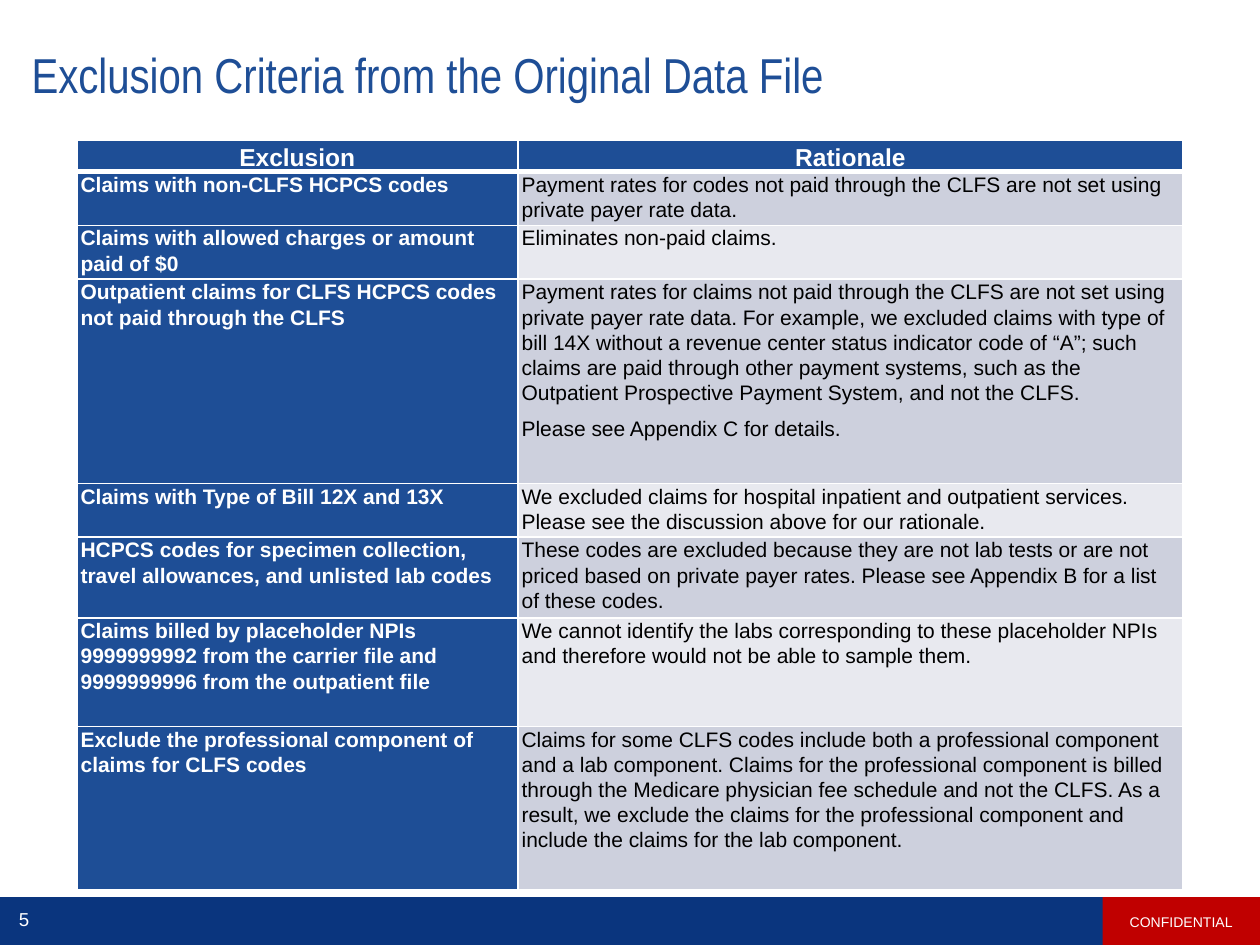
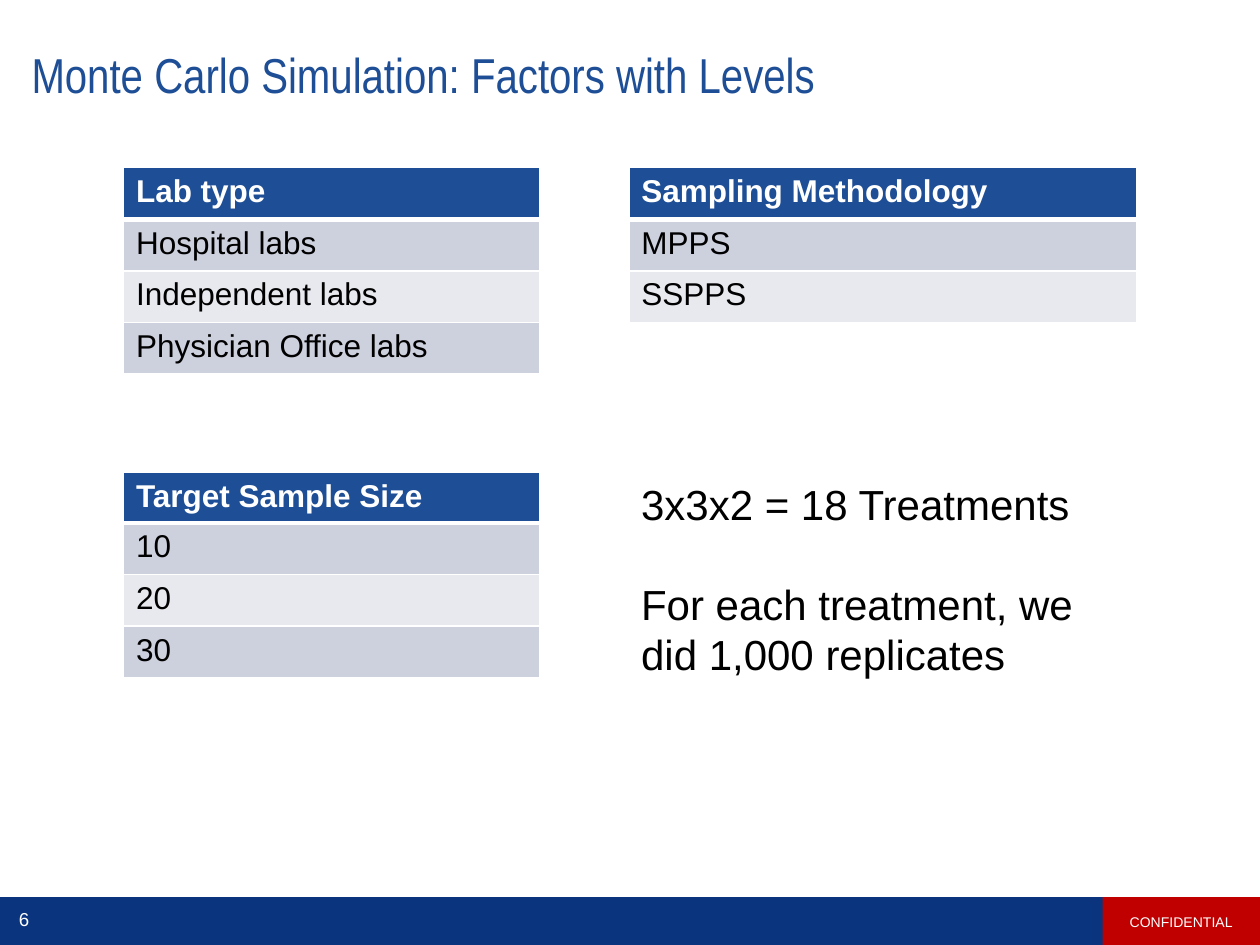
from dataclasses import dataclass

import lxml.etree
import pptx
import pptx.dml.color
import pptx.enum.shapes
import pptx.enum.text
import pptx.oxml.ns
import pptx.util

Inches = pptx.util.Inches
Pt = pptx.util.Pt
Align = pptx.enum.text.PP_ALIGN
Anchor = pptx.enum.text.MSO_ANCHOR


@dataclass(frozen=True)
class Theme:
    font: str = "Arial"
    title_font: str = "Arial Narrow"
    blue: str = "1E4E96"
    navy: str = "0A357E"
    red: str = "C00000"
    white: str = "FFFFFF"
    black: str = "000000"
    bands: tuple = ("CDD0DD", "E8E9EF")
    title_size: float = 28
    summary_size: float = 24
    factor_size: float = 18
    header_size: float = 14
    rationale_size: float = 12
    number_size: float = 10.7
    label_size: float = 8


THEME = Theme()

EXCLUSIONS = [
    ("Exclusion", "Rationale"),
    ("Claims with non-CLFS HCPCS codes",
     "Payment rates for codes not paid through the CLFS are not set using private payer rate data."),
    ("Claims with allowed charges or amount paid of $0",
     "Eliminates non-paid claims."),
    ("Outpatient claims for CLFS HCPCS codes not paid through the CLFS",
     "Payment rates for claims not paid through the CLFS are not set using private payer rate data. "
     "For example, we excluded claims with type of bill 14X without a revenue center status indicator "
     "code of “A”; such claims are paid through other payment systems, such as the Outpatient "
     "Prospective Payment System, and not the CLFS.\nPlease see Appendix C for details."),
    ("Claims with Type of Bill 12X and 13X",
     "We excluded claims for hospital inpatient and outpatient services. "
     "Please see the discussion above for our rationale."),
    ("HCPCS codes for specimen collection, travel allowances, and unlisted lab codes",
     "These codes are excluded because they are not lab tests or are not priced based on private "
     "payer rates. Please see Appendix B for a list of these codes."),
    ("Claims billed by placeholder NPIs 9999999992 from the carrier file and 9999999996 from the "
     "outpatient file",
     "We cannot identify the labs corresponding to these placeholder NPIs and therefore would not "
     "be able to sample them."),
    ("Exclude the professional component of claims for CLFS codes",
     "Claims for some CLFS codes include both a professional component and a lab component. Claims "
     "for the professional component is billed through the Medicare physician fee schedule and not "
     "the CLFS. As a result, we exclude the claims for the professional component and include the "
     "claims for the lab component."),
]
EXCLUSION_HEIGHTS = [0.24, 0.42, 0.42, 1.62, 0.42, 0.64, 0.86, 1.3]


def color(value):
    return pptx.dml.color.RGBColor.from_string(value)


def write_text(frame, text, *, size, ink=THEME.black, font=THEME.font, bold=False,
               align=Align.LEFT, line=None, before=None, after=None):
    for index, words in enumerate(text.split("\n")):
        para = frame.paragraphs[0] if index == 0 else frame.add_paragraph()
        para.alignment = align
        para.line_spacing = line
        para.space_before = None if before is None else Pt(before)
        para.space_after = None if after is None else Pt(after)
        span = para.add_run()
        span.text = words
        span.font.name = font
        span.font.size = Pt(size)
        span.font.bold = bold
        span.font.color.rgb = color(ink)


def set_insets(target, left, top, right, bottom):
    target.margin_left, target.margin_top = Inches(left), Inches(top)
    target.margin_right, target.margin_bottom = Inches(right), Inches(bottom)


def add_bar(page, left, top, width, height, fill):
    bar = page.shapes.add_shape(pptx.enum.shapes.MSO_SHAPE.RECTANGLE, Inches(left), Inches(top),
                                Inches(width), Inches(height))
    bar.shadow.inherit = False
    bar.fill.solid()
    bar.fill.fore_color.rgb = color(fill)
    bar.line.fill.background()
    return bar


def add_text_box(page, left, top, width, height, text, anchor=Anchor.TOP, **text_format):
    box = page.shapes.add_textbox(Inches(left), Inches(top), Inches(width), Inches(height))
    box.text_frame.word_wrap = True
    box.text_frame.vertical_anchor = anchor
    write_text(box.text_frame, text, **text_format)
    return box


def add_title(page, text):
    title = page.shapes.title
    title.left, title.top = Inches(0.15), Inches(0.2)
    title.width, title.height = Inches(9.67), Inches(0.83)
    frame = title.text_frame
    frame.auto_size = pptx.enum.text.MSO_AUTO_SIZE.NONE
    frame.vertical_anchor = Anchor.MIDDLE
    set_insets(frame, 0.1, 0.1, 0.2, 0.1)
    write_text(frame, text, size=THEME.title_size, ink=THEME.blue, font=THEME.title_font, line=0.9)


def add_footer(page, number):
    add_bar(page, 0, 7.12, 10, 0.39, THEME.navy)
    label = add_bar(page, 8.75, 7.12, 1.25, 0.39, THEME.red)
    label.text_frame.vertical_anchor = Anchor.MIDDLE
    write_text(label.text_frame, "CONFIDENTIAL", size=THEME.label_size, ink=THEME.white,
               align=Align.CENTER)
    add_text_box(page, 0, 7.13, 0.38, 0.32, str(number), anchor=Anchor.MIDDLE,
                 size=THEME.number_size, ink=THEME.white, align=Align.CENTER)


def add_page(deck, title, number):
    page = deck.slides.add_slide(deck.slide_layouts[5])
    add_title(page, title)
    add_footer(page, number)
    return page


def set_borders(cell, top, bottom):
    name = pptx.oxml.ns.qn
    properties = cell._tc.get_or_add_tcPr()
    for index, (side, width) in enumerate([("L", 1), ("R", 1), ("T", top), ("B", bottom)]):
        edge = lxml.etree.Element(name(f"a:ln{side}"), w=str(Pt(width)))
        fill = lxml.etree.SubElement(edge, name("a:solidFill"))
        lxml.etree.SubElement(fill, name("a:srgbClr"), val=THEME.white)
        properties.insert(index, edge)


def add_grid(page, left, top, widths, heights, rows, *, size, header_size, label_column=False,
             header_align=Align.LEFT, header_anchor=Anchor.TOP, insets=None, **spacing):
    table = page.shapes.add_table(len(rows), len(widths), Inches(left), Inches(top),
                                  Inches(sum(widths)), Inches(sum(heights))).table
    for column, width in zip(table.columns, widths):
        column.width = Inches(width)
    for row_index, (row, height) in enumerate(zip(rows, heights)):
        table.rows[row_index].height = Inches(height)
        is_header = row_index == 0
        for column_index, text in enumerate(row):
            cell = table.cell(row_index, column_index)
            strong = is_header or (label_column and column_index == 0)
            cell.fill.solid()
            cell.fill.fore_color.rgb = color(
                THEME.blue if strong else THEME.bands[(row_index - 1) % 2])
            set_borders(cell, top=3 if row_index == 1 else 1, bottom=3 if is_header else 1)
            cell.vertical_anchor = header_anchor if is_header else Anchor.TOP
            if insets:
                set_insets(cell, *insets)
            write_text(cell.text_frame, text, size=header_size if is_header else size,
                       ink=THEME.white if strong else THEME.black, bold=strong,
                       align=header_align if is_header else Align.LEFT, **spacing)


def add_factor(page, left, top, width, name, levels, header_height=0.41):
    add_grid(page, left, top, [width], [header_height] + [0.41] * len(levels),
             [(text,) for text in [name, *levels]],
             size=THEME.factor_size, header_size=THEME.factor_size)


def build_exclusions(deck):
    page = add_page(deck, "Exclusion Criteria from the Original Data File", 5)
    add_grid(page, 0.61, 1.11, [3.5, 5.28], EXCLUSION_HEIGHTS, EXCLUSIONS,
             size=THEME.rationale_size, header_size=THEME.header_size, label_column=True,
             header_align=Align.CENTER, header_anchor=Anchor.BOTTOM, insets=(0.03, 0, 0.03, 0),
             line=1.07, before=3, after=3)


def build_factors(deck):
    page = add_page(deck, "Monte Carlo Simulation: Factors with Levels", 6)
    left, right, upper, lower = 0.98, 4.99, 1.33, 3.75
    narrow, wide = 3.3, 4.03
    add_factor(page, left, upper, narrow, "Lab type",
               ["Hospital labs", "Independent labs", "Physician Office labs"])
    add_factor(page, right, upper, wide, "Sampling Methodology", ["MPPS", "SSPPS"])
    add_factor(page, left, lower, narrow, "Target Sample Size", ["10", "20", "30"],
               header_height=0.36)
    summary = add_text_box(page, right, lower, wide, 1.72,
                           "3x3x2 = 18 Treatments\nFor each treatment, we did 1,000 replicates",
                           size=THEME.summary_size)
    summary.text_frame.paragraphs[1].space_before = Pt(28)


def main():
    deck = pptx.Presentation()
    deck.slide_width, deck.slide_height = Inches(10), Inches(7.5)
    build_exclusions(deck)
    build_factors(deck)
    deck.save("out.pptx")


if __name__ == "__main__":
    main()
